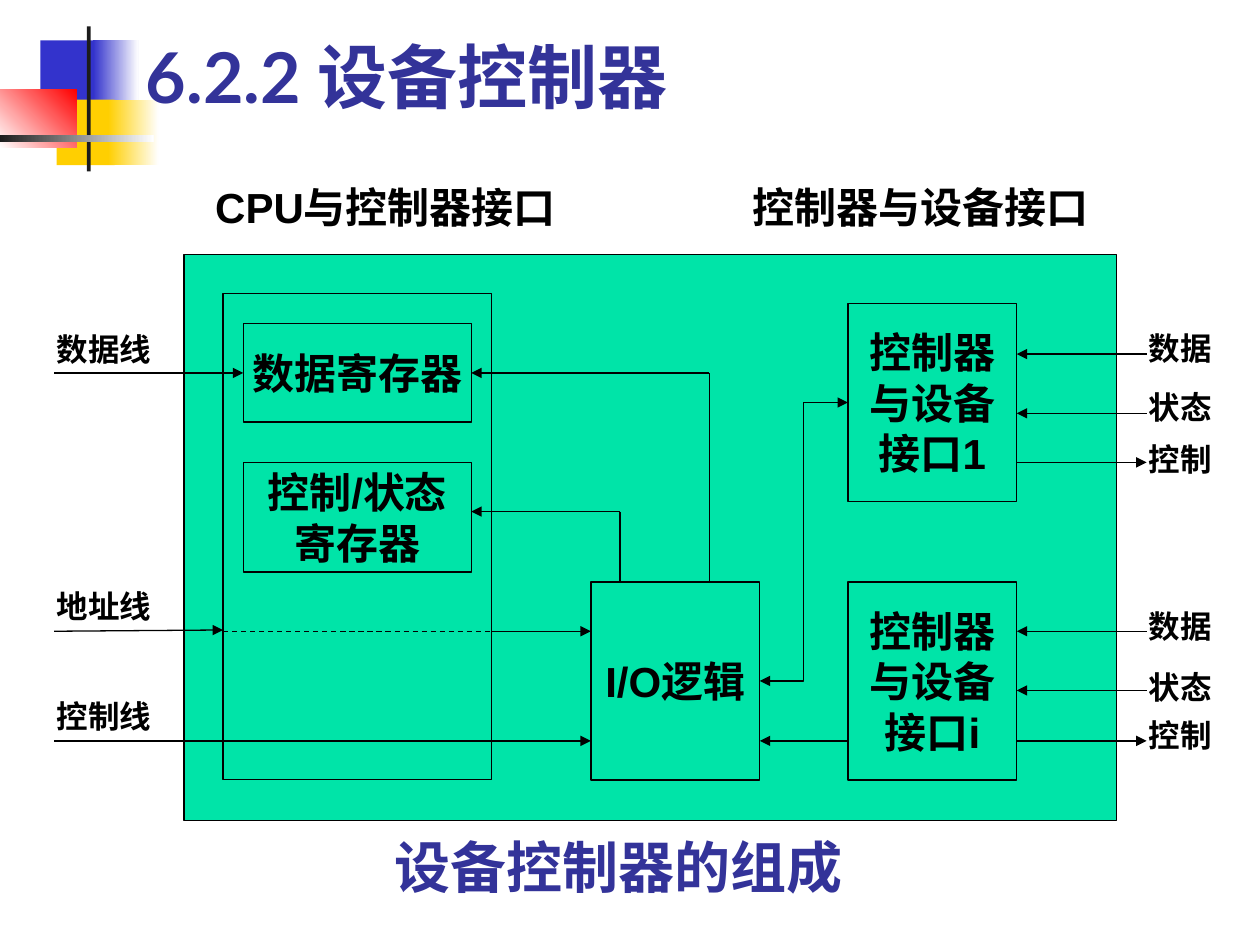
"""Build the slide on the composition of a device controller."""
import pptx
import pptx.util
import pptx.dml.color
import pptx.enum.dml
import pptx.enum.shapes
import pptx.enum.text
import pptx.oxml
import pptx.oxml.ns

Inches, Pt = pptx.util.Inches, pptx.util.Pt
ALIGN = pptx.enum.text.PP_ALIGN
ANCHOR = pptx.enum.text.MSO_ANCHOR
CONNECTOR = pptx.enum.shapes.MSO_CONNECTOR

COLORS = {"blue": "3333CC", "yellow": "FFCF01", "red": "FF0000", "dark": "1C1C1C",
          "white": "FFFFFF", "green": "00E4A8", "black": "000000", "title": "333399"}

ORNAMENTS = [
    ((0.32, 0.32, 0.48, 0.52), ["blue"], 0),
    ((0.74, 0.32, 0.36, 0.52), ["blue", "white"], 0),
    ((0.45, 0.79, 0.46, 0.52), ["yellow"], 0),
    ((0.86, 0.79, 0.4, 0.52), ["yellow", "white"], 0),
    ((0, 0.71, 0.61, 0.46), ["white", "red"], 45),
    ((0.69, 0.21, 0.03, 1.15), ["dark"], 0),
    ((0, 1.07, 1.22, 0.06), ["dark", "white"], 0),
]

BOXES = {
    "controller": ((1.46, 2.02, 7.4, 4.49), ""),
    "registers": ((1.77, 2.33, 2.13, 3.86), ""),
    "logic": ((4.69, 4.62, 1.34, 1.57), "I/O逻辑"),
    "port_1": ((6.73, 2.41, 1.34, 1.57), "控制器\n与设备\n接口1"),
    "port_i": ((6.73, 4.62, 1.34, 1.57), "控制器\n与设备\n接口i"),
    "data": ((1.93, 2.57, 1.81, 0.78), "数据寄存器"),
    "status": ((1.93, 3.67, 1.81, 0.87), "控制/状态\n寄存器"),
}

HEADINGS = [("CPU与控制器接口", 1.61), ("控制器与设备接口", 5.87)]
BUS_LABELS = [("数据线", 2.57), ("地址线", 4.61), ("控制线", 5.48)]
SIGNALS = [
    ("数据", 2.56, 2.81, "in"), ("状态", 3.03, 3.28, "in"), ("控制", 3.44, 3.67, "out"),
    ("数据", 4.77, 5.01, "in"), ("状态", 5.25, 5.48, "in"), ("控制", 5.63, 5.88, "out"),
]
PORT_RIGHT, SIGNAL_END = 8.07, 9.1

LINES = [
    ((0.43, 2.96, 1.93, 2.96), {"end": ("data", 1)}),
    ((0.43, 5.01, 1.77, 5), {}),
    ((0.43, 5.88, 4.69, 5.88), {}),
    ((1.77, 5.01, 3.9, 5.01), {"dash": True, "arrows": []}),
    ((3.9, 5.01, 4.69, 5.01), {}),
    ((6.73, 5.88, 6.03, 5.88), {}),
    ((6.03, 5.4, 6.73, 3.2), {"kind": CONNECTOR.ELBOW, "begin": ("logic", 3),
                              "end": ("port_1", 1), "arrows": ["headEnd", "tailEnd"]}),
    ((5.63, 2.96, 3.74, 2.96), {"end": ("data", 3)}),
    ((4.92, 4.06, 3.74, 4.06), {}),
    ((5.63, 2.96, 5.63, 4.62), {"arrows": []}),
    ((4.92, 4.06, 4.92, 4.62), {"arrows": []}),
]


def rgb(name):
    return pptx.dml.color.RGBColor.from_string(COLORS[name])


def apply(target, values):
    for name, value in values.items():
        setattr(target, name, value)


def write(sp, text, size, font="Arial", color="black", align=ALIGN.LEFT, before=0, **frame):
    tf = sp.text_frame
    tf.text = text
    apply(tf, {"auto_size": pptx.enum.text.MSO_AUTO_SIZE.NONE, "word_wrap": True, **frame})
    for p in tf.paragraphs:
        apply(p, {"alignment": align, "space_before": Pt(before)})
        for r in p.runs:
            apply(r.font, {"size": Pt(size), "name": font, "bold": True})
            r.font.color.rgb = rgb(color)


def add_rect(s, at, colors, angle=0):
    sp = s.shapes.add_shape(pptx.enum.shapes.MSO_SHAPE.RECTANGLE, *map(Inches, at))
    sp.shadow.inherit = False
    sp.line.fill.background()
    if len(colors) == 1:
        sp.fill.solid()
        sp.fill.fore_color.rgb = rgb(colors[0])
    else:
        sp.fill.gradient()
        sp.fill.gradient_angle = angle
        for stop, color in zip(sp.fill.gradient_stops, colors):
            stop.color.rgb = rgb(color)
    return sp


def add_box(s, at, text):
    sp = add_rect(s, at, ["green"])
    sp.line.color.rgb = rgb("black")
    sp.line.width = Pt(0.75)
    if text:
        write(sp, text, 24, align=ALIGN.CENTER, word_wrap=False,
              vertical_anchor=ANCHOR.MIDDLE)
    return sp


def add_text(s, at, text, size, **style):
    write(s.shapes.add_textbox(*map(Inches, at)), text, size, **style)


def add_line(s, points, boxes, kind=CONNECTOR.STRAIGHT, begin=None, end=None,
             dash=False, arrows=("tailEnd",)):
    cx = s.shapes.add_connector(kind, *map(Inches, points))
    if begin:
        cx.begin_connect(boxes[begin[0]], begin[1])
    if end:
        cx.end_connect(boxes[end[0]], end[1])
    cx.line.color.rgb = rgb("black")
    cx.line.width = Pt(0.75)
    if dash:
        cx.line.dash_style = pptx.enum.dml.MSO_LINE.DASH
    ln = cx.line._get_or_add_ln()
    ns = pptx.oxml.ns.nsdecls("a")
    for arrow in arrows:
        ln.append(pptx.oxml.parse_xml(f'<a:{arrow} {ns} type="triangle"/>'))
    ln.addnext(pptx.oxml.parse_xml(f"<a:effectLst {ns}/>"))


def main():
    prs = pptx.Presentation()
    apply(prs, {"slide_width": Inches(10), "slide_height": Inches(7.5)})
    s = prs.slides.add_slide(prs.slide_layouts[5])

    for at, colors, angle in ORNAMENTS:
        add_rect(s, at, colors, angle)

    title = s.shapes.title
    apply(title, dict(zip(("left", "top", "width", "height"),
                          map(Inches, (3.03, 6.59, 3.94, 0.6)))))
    write(title, "设备控制器的组成", 32, "Lato", "title", vertical_anchor=ANCHOR.BOTTOM)

    boxes = {name: add_box(s, at, text) for name, (at, text) in BOXES.items()}
    for points, options in LINES:
        add_line(s, points, boxes, **options)

    for text, left in HEADINGS:
        add_text(s, (left, 1.39, 2.99, 0.5), text, 24, before=15)
    for text, top in BUS_LABELS:
        add_text(s, (0.35, top, 1.02, 0.4), text, 18, before=11.2)
    for text, top, y, direction in SIGNALS:
        add_text(s, (9.02, top, 0.79, 0.4), text, 18, before=11.2)
        ends = [PORT_RIGHT, SIGNAL_END]
        if direction == "in":
            ends.reverse()
        add_line(s, (ends[0], y, ends[1], y), boxes)

    add_text(s, (1.06, 0.21, 8.52, 0.77), "6.2.2 设备控制器", 40, font="Lato",
             color="title", vertical_anchor=ANCHOR.BOTTOM)
    prs.save("out.pptx")


if __name__ == "__main__":
    main()
